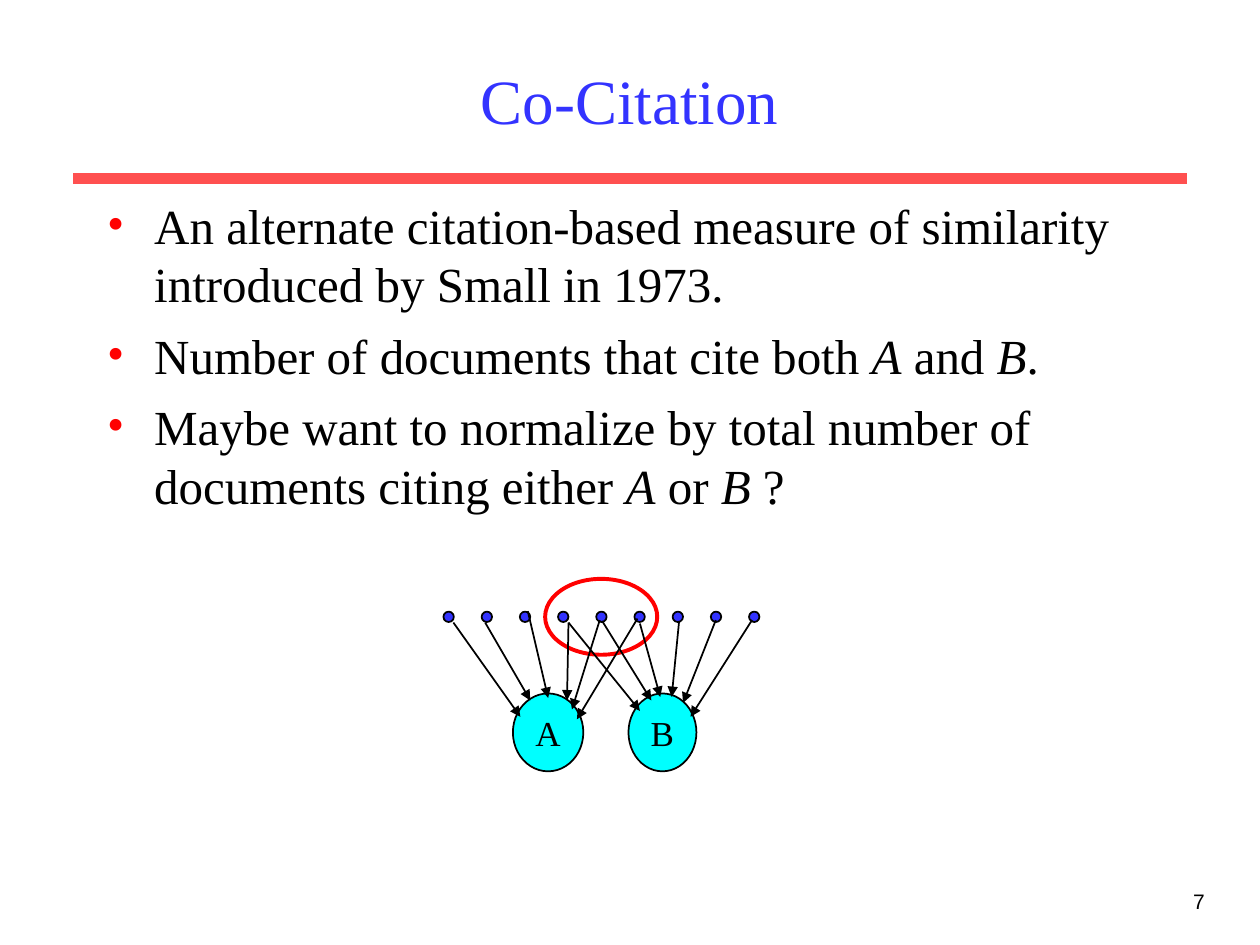
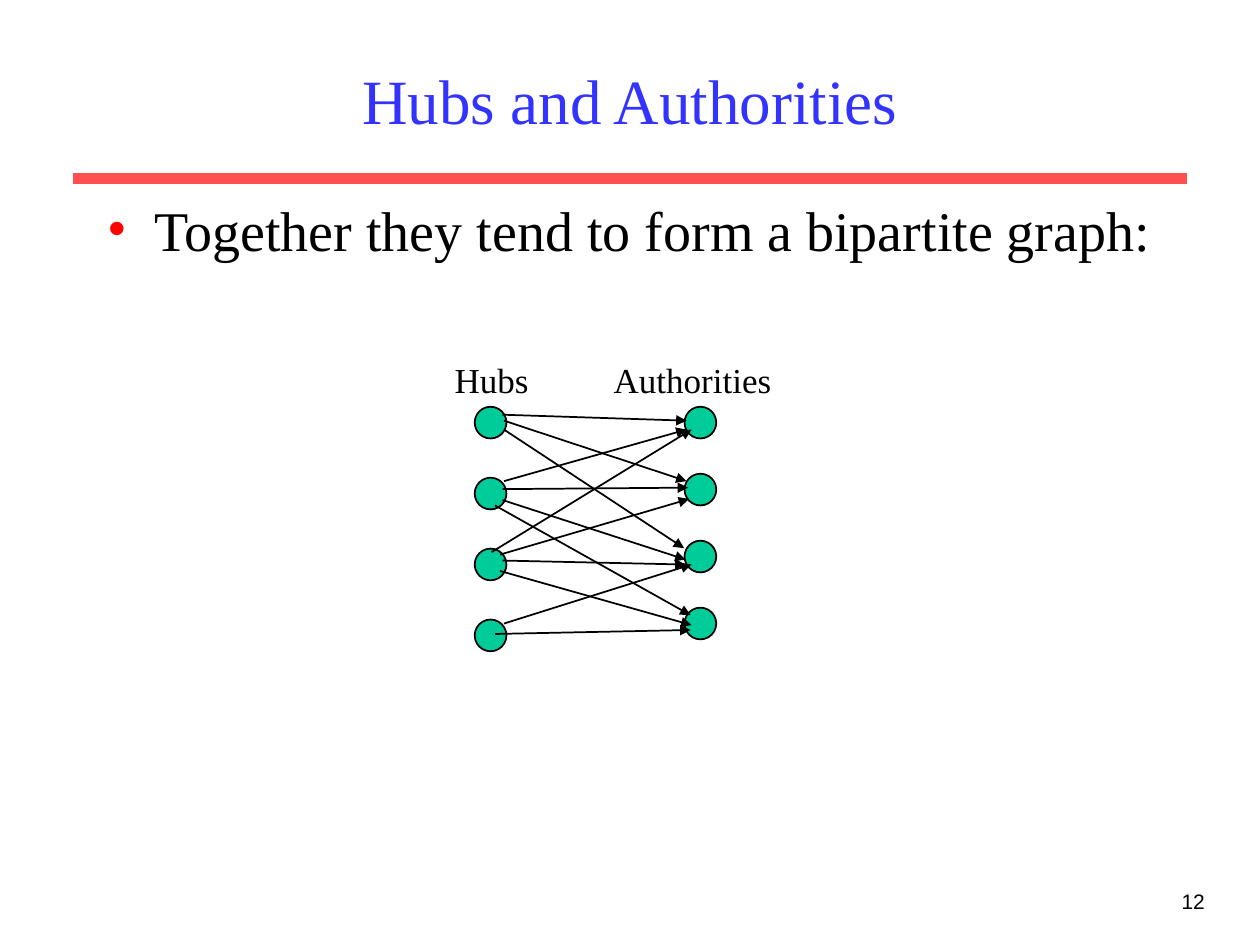
import dataclasses

import lxml.etree
import pptx
import pptx.dml.color
import pptx.enum.shapes
import pptx.enum.text
import pptx.oxml.ns
import pptx.util

Cm = pptx.util.Cm
Pt = pptx.util.Pt
ALIGN = pptx.enum.text.PP_ALIGN
ANCHOR = pptx.enum.text.MSO_ANCHOR
AUTO_SIZE = pptx.enum.text.MSO_AUTO_SIZE


@dataclasses.dataclass(frozen=True)
class Theme:
    serif: str = "Times New Roman"
    sans: str = "Arial"
    ink: str = "000000"
    title: str = "3333FF"
    rule: str = "FF5050"
    accent: str = "FF0000"
    citing: str = "3333FF"
    cited: str = "00FFFF"
    node: str = "00CC99"
    title_size: int = 36
    label_size: int = 20
    number_size: int = 12
    thin: float = 1
    ring: float = 2.25
    thick: float = 6


THEME = Theme()

CITATIONS = [
    (9.14, 12.55, 10.49, 14.45),
    (9.78, 12.55, 10.69, 14.12),
    (10.64, 12.32, 11.05, 14.07),
    (11.46, 12.55, 11.43, 14.12),
    (11.46, 12.55, 12.9, 14.33),
    (12.14, 12.52, 13.13, 14.12),
    (12.9, 12.57, 13.31, 14.05),
    (13.69, 12.52, 13.54, 14.05),
    (14.43, 12.5, 13.77, 14.17),
    (15.16, 12.5, 13.92, 14.45),
    (12.09, 12.5, 11.53, 14.3),
    (12.85, 12.47, 11.63, 14.5),
]

HUB_LINKS = [
    (10.16, 8.66, 13.79, 11.05),
    (10.16, 8.48, 13.84, 9.7),
    (10.13, 8.36, 13.84, 8.48),
    (10.16, 9.7, 13.84, 8.66),
    (10.13, 9.86, 13.87, 9.83),
    (10.13, 10.08, 13.82, 11.28),
    (10.08, 11.18, 13.89, 10.06),
    (10.13, 11.3, 13.82, 11.38),
    (10.08, 11.51, 13.94, 12.6),
    (10.16, 12.57, 13.94, 11.38),
    (9.91, 11.13, 13.94, 8.66),
    (9.98, 12.78, 13.92, 12.7),
    (9.98, 10.19, 13.92, 12.4),
]


def rgb(color):
    return pptx.dml.color.RGBColor.from_string(color)


def add_element(parent, tag, **attributes):
    return lxml.etree.SubElement(parent, pptx.oxml.ns.qn(tag), attributes)


def style_span(span, size, color=THEME.ink, font=THEME.serif, italic=False):
    span.font.size = Pt(size)
    span.font.name = font
    span.font.color.rgb = rgb(color)
    span.font.italic = italic


def write_text(box, text, size, align=ALIGN.CENTER, **style):
    box.text_frame.text = text
    para = box.text_frame.paragraphs[0]
    para.alignment = align
    style_span(para.runs[0], size, **style)


def add_label(shapes, text, bounds, size=THEME.label_size, **style):
    box = shapes.add_textbox(*map(Cm, bounds))
    write_text(box, text, size, **style)
    return box


def add_line(shapes, ends, color=THEME.ink, width=THEME.thin, arrow=False):
    line = shapes.add_connector(
        pptx.enum.shapes.MSO_CONNECTOR.STRAIGHT, *map(Cm, ends))
    line.line.color.rgb = rgb(color)
    line.line.width = Pt(width)
    if arrow:
        add_element(line.line._get_or_add_ln(), "a:tailEnd", type="triangle")
    add_element(line._element.spPr, "a:effectLst")


def add_oval(shapes, bounds, fill=None, color=THEME.ink, width=THEME.thin):
    oval = shapes.add_shape(
        pptx.enum.shapes.MSO_SHAPE.OVAL, *map(Cm, bounds))
    oval.shadow.inherit = False
    if fill:
        oval.fill.solid()
        oval.fill.fore_color.rgb = rgb(fill)
    else:
        oval.fill.background()
    oval.line.color.rgb = rgb(color)
    oval.line.width = Pt(width)
    return oval


def add_page(deck, title, number):
    page = deck.slides.add_slide(deck.slide_layouts[5])
    heading = page.shapes.title
    heading.left, heading.top = Cm(1.9), Cm(0.64)
    heading.width, heading.height = Cm(21.59), Cm(2.74)
    write_text(heading, title, THEME.title_size, color=THEME.title)
    heading.text_frame.vertical_anchor = ANCHOR.MIDDLE
    add_line(page.shapes, (1.48, 3.6, 23.92, 3.6), THEME.rule, THEME.thick)
    add_label(page.shapes, number, (19.26, 17.78, 5.28, 1.27),
              THEME.number_size, align=ALIGN.RIGHT, font=THEME.sans)
    return page


def add_bullets(page, items, size, gap):
    box = page.shapes.add_textbox(Cm(1.91), Cm(3.81), Cm(21.59), Cm(13.03))
    frame = box.text_frame
    frame.word_wrap = True
    for index, pieces in enumerate(items):
        para = frame.add_paragraph() if index else frame.paragraphs[0]
        para.space_before = Pt(gap)
        properties = para._p.get_or_add_pPr()
        properties.set("marL", str(Cm(0.95)))
        properties.set("indent", str(-Cm(0.95)))
        bullet_color = add_element(properties, "a:buClr")
        add_element(bullet_color, "a:srgbClr", val=THEME.accent)
        add_element(properties, "a:buFont", typeface=THEME.serif)
        add_element(properties, "a:buChar", char="•")
        for position, piece in enumerate(pieces):
            span = para.add_run()
            span.text = piece
            style_span(span, size, italic=position % 2 == 1)


def add_citation_graph(page):
    shapes = page.shapes.add_group_shape().shapes
    for name, left, width in (("A", 10.34, 1.42), ("B", 12.67, 1.37)):
        document = add_oval(shapes, (left, 13.98, width, 1.57), THEME.cited)
        write_text(document, name, THEME.label_size)
        document.text_frame.vertical_anchor = ANCHOR.MIDDLE
        document.text_frame.word_wrap = False
    add_oval(shapes, (10.99, 11.67, 2.26, 1.53),
             color=THEME.accent, width=THEME.ring)
    for index in range(9):
        add_oval(shapes, (8.94 + 0.77 * index, 12.33, 0.21, 0.21),
                 THEME.citing)
    for ends in CITATIONS:
        add_line(shapes, ends, arrow=True)


def add_bipartite_graph(page):
    shapes = page.shapes.add_group_shape().shapes
    for left, pitch in ((9.57, 1.43), (13.8, 1.35)):
        for index in range(4):
            add_oval(shapes, (left, 8.2 + pitch * index, 0.64, 0.64),
                     THEME.node)
    for ends in HUB_LINKS:
        add_line(shapes, ends, arrow=True)
    for text, left, width in (("Hubs ", 8.89, 2.22),
                              ("Authorities", 11.96, 4)):
        label = add_label(page.shapes, text, (left, 7.11, width, 1.12))
        label.text_frame.word_wrap = False
        label.text_frame.auto_size = AUTO_SIZE.SHAPE_TO_FIT_TEXT


def main():
    deck = pptx.Presentation()
    deck.slide_width, deck.slide_height = Cm(25.4), Cm(19.05)

    page = add_page(deck, "Co-Citation", "7")
    add_bullets(page, [
        ["An alternate citation-based measure of similarity "
         "introduced by Small in 1973."],
        ["Number of documents that cite both ", "A", " and ", "B", "."],
        ["Maybe want to normalize by total number of documents "
         "citing either ", "A", " or ", "B ", "?"],
    ], size=28, gap=7)
    add_citation_graph(page)

    page = add_page(deck, "Hubs and Authorities", "12")
    add_bullets(page, [["Together they tend to form a bipartite graph:"]],
                size=32, gap=8)
    add_bipartite_graph(page)

    deck.save("out.pptx")


if __name__ == "__main__":
    main()
